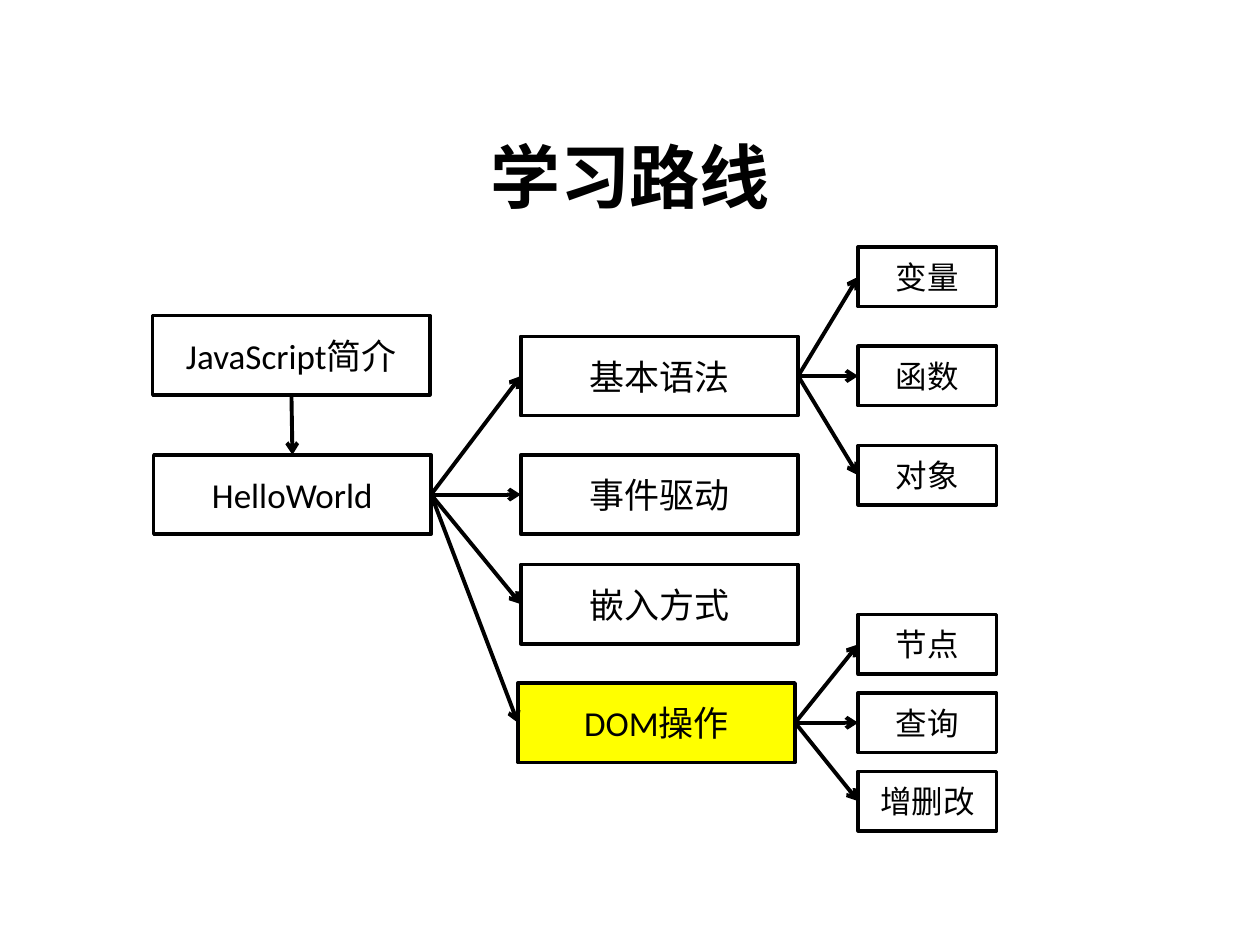
from lxml import etree
from pptx import Presentation
from pptx.dml.color import RGBColor
from pptx.enum.shapes import MSO_CONNECTOR, MSO_SHAPE
from pptx.enum.text import MSO_ANCHOR, PP_ALIGN
from pptx.oxml.ns import qn
from pptx.util import Cm, Pt

RECT = MSO_SHAPE.RECTANGLE
LINE = MSO_CONNECTOR.STRAIGHT
MIDDLE = MSO_ANCHOR.MIDDLE
CENTER = PP_ALIGN.CENTER
BLACK = RGBColor(0, 0, 0)
YELLOW = RGBColor(255, 255, 0)
FONT = "Calibri"
TOP, LEFT, BOTTOM, RIGHT = range(4)
STEP_W, STEP_H = 5.59, 1.6
LEAF_W, LEAF_H, LEAF_X = 2.79, 1.2, 17.3
TOPICS = [
    ("基本语法", 10.5, 7.58, None, 2.0, ["变量", "函数", "对象"]),
    ("事件驱动", 10.5, 9.97, None, 0, []),
    ("嵌入方式", 10.5, 12.18, None, 0, []),
    ("DOM操作", 10.44, 14.57, YELLOW, 1.58, ["节点", "查询", "增删改"]),
]


def set_text(shape, text, size, bold=False):
    frame = shape.text_frame
    frame.text = text
    frame.word_wrap = True
    frame.vertical_anchor = MIDDLE
    para = frame.paragraphs[0]
    para.alignment = CENTER
    font = para.runs[0].font
    font.name = FONT
    font.size = Pt(size)
    font.bold = bold
    font.color.rgb = BLACK


def add_title(slide, text):
    title = slide.shapes.title
    title.left, title.top = Cm(1.27), Cm(2.34)
    title.width, title.height = Cm(22.86), Cm(2.41)
    set_text(title, text, 40, True)


def add_box(slide, text, left, mid, width, height, size, fill=None):
    box = slide.shapes.add_shape(
        RECT, Cm(left), Cm(mid - height / 2), Cm(width), Cm(height))
    box.shadow.inherit = False
    if fill is None:
        box.fill.background()
    else:
        box.fill.solid()
        box.fill.fore_color.rgb = fill
    box.line.color.rgb = BLACK
    box.line.width = Pt(2)
    set_text(box, text, size)
    return box


def add_step(slide, text, left, mid, fill=None):
    return add_box(slide, text, left, mid, STEP_W, STEP_H, 20, fill)


def add_arrow(slide, start, end, exit_side=RIGHT, entry_side=LEFT):
    arrow = slide.shapes.add_connector(LINE, 0, 0, 0, 0)
    arrow.begin_connect(start, exit_side)
    arrow.end_connect(end, entry_side)
    arrow.line.color.rgb = BLACK
    arrow.line.width = Pt(2.25)
    etree.SubElement(arrow.line._get_or_add_ln(), qn("a:tailEnd"), type="arrow")
    etree.SubElement(arrow._element.spPr, qn("a:effectLst"))


def add_leaves(slide, topic, mid, pitch, names):
    for row, name in enumerate(names):
        level = mid + (row - (len(names) - 1) / 2) * pitch
        leaf = add_box(slide, name, LEAF_X, level, LEAF_W, LEAF_H, 18)
        add_arrow(slide, topic, leaf)


def main():
    deck = Presentation()
    deck.slide_width, deck.slide_height = Cm(25.4), Cm(19.05)
    slide = deck.slides.add_slide(deck.slide_layouts[5])
    add_title(slide, "学习路线")
    intro = add_step(slide, "JavaScript简介", 3.08, 7.16)
    hello = add_step(slide, "HelloWorld", 3.1, 9.97)
    add_arrow(slide, intro, hello, BOTTOM, TOP)
    for text, left, mid, fill, pitch, names in TOPICS:
        topic = add_step(slide, text, left, mid, fill)
        add_arrow(slide, hello, topic)
        add_leaves(slide, topic, mid, pitch, names)
    deck.save("out.pptx")


if __name__ == "__main__":
    main()
